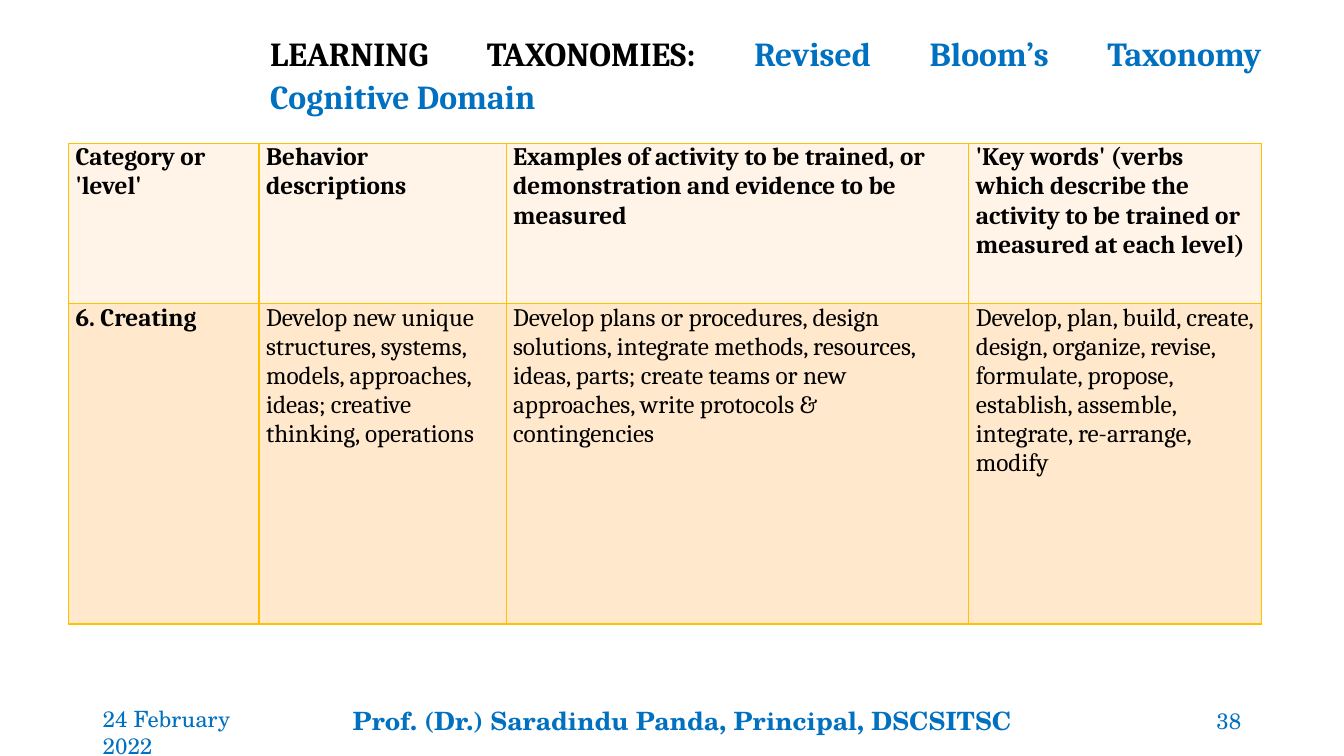
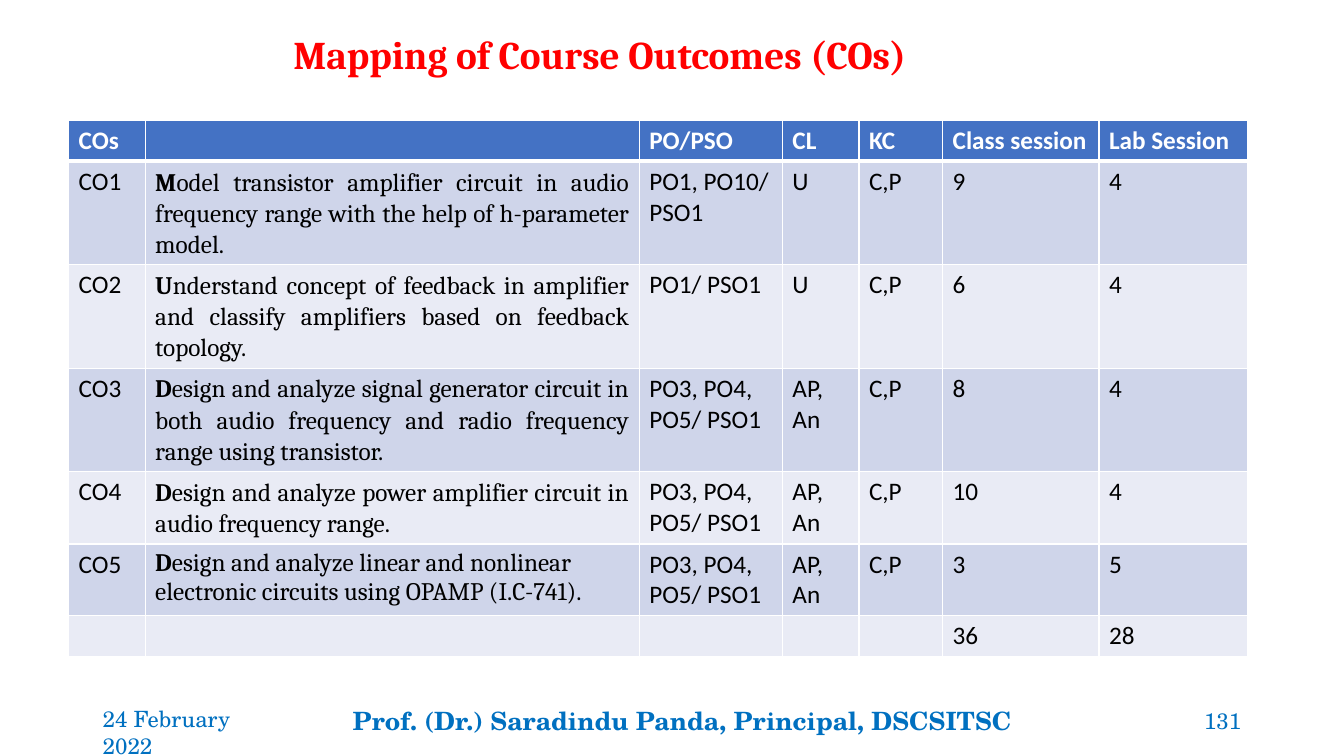
from lxml import etree
from pptx import Presentation
from pptx.dml.color import RGBColor
from pptx.enum.text import MSO_ANCHOR as Anchor, MSO_AUTO_SIZE as AutoSize, PP_ALIGN as Align
from pptx.oxml.ns import qn
from pptx.util import Inches, Pt

BLACK, WHITE, RED, BLUE = "000000", "FFFFFF", "FF0000", "0070C0"
GOLD, CREAM, PEACH = "FFC000", "FFF4E7", "FFE8CC"
HEADER_BLUE, BAND_DARK, BAND_LIGHT = "4472C4", "CFD5EA", "E9EBF5"
SERIF, SANS, FOOTER_FONT = "Cambria", "Calibri", "TeX Gyre Schola"
TABLE_LEFT = 0.68
JUSTIFIED = dict(align=Align.JUSTIFY, line_spacing=1.07, space_after=8)

TAXONOMY_WIDTHS = [1.89, 2.45, 4.59, 2.9]
TAXONOMY_ROWS = [
    ["Category or 'level'", "Behavior descriptions",
     "Examples of activity to be trained, or demonstration and evidence to be measured",
     "'Key words' (verbs which describe the activity to be trained or measured at each level)"],
    ["6. Creating",
     "Develop new unique structures, systems, models, approaches, ideas; creative thinking, operations",
     "Develop plans or procedures, design solutions, integrate methods, resources, ideas, parts; "
     "create teams or new approaches, write protocols & contingencies",
     "Develop, plan, build, create, design, organize, revise, formulate, propose, establish, "
     "assemble, integrate, re-arrange, modify"],
]

OUTCOME_WIDTHS = [0.76, 4.9, 1.42, 0.76, 0.83, 1.55, 1.47]
OUTCOME_HEIGHTS = [0.41, 1.02, 1.02, 1.02, 0.71, 0.71, 0.41]
OUTCOME_ROWS = [
    ["COs", "", "PO/PSO", "CL", "KC", "Class session", "Lab Session"],
    ["CO1", "Model transistor amplifier circuit in audio frequency range with the help of "
     "h-parameter model.", "PO1, PO10/ PSO1", "U", "C,P", "9", "4"],
    ["CO2", "Understand concept of feedback in amplifier and classify amplifiers based on "
     "feedback topology.", "PO1/ PSO1", "U", "C,P", "6", "4"],
    ["CO3", "Design and analyze signal generator circuit in both audio frequency and radio "
     "frequency range using transistor.", "PO3, PO4, PO5/ PSO1", "AP, An", "C,P", "8", "4"],
    ["CO4", "Design and analyze power amplifier circuit in audio frequency range.",
     "PO3, PO4, PO5/ PSO1", "AP, An", "C,P", "10", "4"],
    ["CO5", "Design and analyze linear and nonlinear electronic circuits using OPAMP (I.C-741).",
     "PO3, PO4, PO5/ PSO1", "AP, An", "C,P", "3", "5"],
    ["", "", "", "", "", "36", "28"],
]


def rgb(hex_color):
    return RGBColor.from_string(hex_color)


def write_text(frame, *runs, font=SERIF, size=18, color=BLACK, bold=False,
               align=Align.LEFT, line_spacing=None, space_after=None):
    """Write one paragraph; a run is a string or a (string, overrides) pair."""
    paragraph = frame.paragraphs[0]
    paragraph.alignment = align
    if line_spacing:
        paragraph.line_spacing = line_spacing
    if space_after:
        paragraph.space_after = Pt(space_after)
    for item in runs:
        text, changes = (item, {}) if isinstance(item, str) else item
        for index, line in enumerate(text.split("\n")):
            if index:
                paragraph.add_line_break()
            run = paragraph.add_run()
            run.text = line
            run.font.name = font
            run.font.size = Pt(size)
            run.font.bold = changes.get("bold", bold)
            run.font.color.rgb = rgb(changes.get("color", color))


def place(shape, left, top, width, height):
    shape.left, shape.top = Inches(left), Inches(top)
    shape.width, shape.height = Inches(width), Inches(height)


def add_title(slide, box, *runs, **text_format):
    title = slide.shapes.title
    place(title, *box)
    frame = title.text_frame
    frame.word_wrap = True
    frame.auto_size = AutoSize.NONE
    frame.vertical_anchor = Anchor.BOTTOM
    write_text(frame, *runs, bold=True, **JUSTIFIED, **text_format)


def add_footer(slide, number):
    parts = [
        ("24 February 2022", 0.92, 1.99, Anchor.TOP, dict(size=16)),
        ("Prof. (Dr.) Saradindu Panda, Principal, DSCSITSC", 3.4, 6.81, Anchor.TOP,
         dict(size=18, bold=True)),
        (str(number), 10.96, 1.45, Anchor.MIDDLE, dict(size=16, align=Align.RIGHT)),
    ]
    for text, left, width, anchor, text_format in parts:
        box = slide.shapes.add_textbox(Inches(left), Inches(6.95), Inches(width), Inches(0.4))
        box.text_frame.word_wrap = True
        box.text_frame.vertical_anchor = anchor
        write_text(box.text_frame, text, font=FOOTER_FONT, color=BLUE, **text_format)


def set_borders(cell, color, **widths):
    """Draw 1 pt borders, except where a side (L, R, T, B) is given its own width."""
    properties = cell._tc.get_or_add_tcPr()
    for index, side in enumerate("LRTB"):
        line = etree.Element(qn(f"a:ln{side}"), w=str(Pt(widths.get(side, 1))))
        fill = etree.SubElement(line, qn("a:solidFill"))
        etree.SubElement(fill, qn("a:srgbClr"), val=color)
        properties.insert(index, line)


def add_table(slide, top, widths, heights):
    """Add a table without banding and return it."""
    frame = slide.shapes.add_table(len(heights), len(widths), Inches(TABLE_LEFT), Inches(top),
                                   Inches(sum(widths)), Inches(sum(heights)))
    table = frame.table
    table.first_row = table.horz_banding = False
    for column, width in zip(table.columns, widths):
        column.width = Inches(width)
    for row, height in zip(table.rows, heights):
        row.height = Inches(height)
    return table


def fill_cell(cell, color):
    cell.fill.solid()
    cell.fill.fore_color.rgb = rgb(color)


def add_taxonomy_table(slide):
    table = add_table(slide, 1.42, TAXONOMY_WIDTHS, [1.59, 3.18])
    for row, texts in enumerate(TAXONOMY_ROWS):
        for column, text in enumerate(texts):
            cell = table.cell(row, column)
            cell.margin_left = cell.margin_right = Inches(0.07)
            cell.margin_top = cell.margin_bottom = 0
            fill_cell(cell, PEACH if row else CREAM)
            set_borders(cell, GOLD)
            write_text(cell.text_frame, text, bold=row == 0 or column == 0, space_after=10)


def add_outcomes_table(slide):
    table = add_table(slide, 1.19, OUTCOME_WIDTHS, OUTCOME_HEIGHTS)
    for row, texts in enumerate(OUTCOME_ROWS):
        is_header = row == 0
        band = BAND_DARK if row % 2 else BAND_LIGHT
        for column, text in enumerate(texts):
            cell = table.cell(row, column)
            fill_cell(cell, HEADER_BLUE if is_header else band)
            set_borders(cell, WHITE, **({"B": 3} if is_header else {"T": 3} if row == 1 else {}))
            if not text:
                continue
            if is_header:
                write_text(cell.text_frame, text, font=SANS, color=WHITE, bold=True)
            elif column == 1:
                layout = {} if texts[0] == "CO5" else JUSTIFIED
                write_text(cell.text_frame, (text[0], dict(bold=True)), text[1:], **layout)
            else:
                write_text(cell.text_frame, text, font=SANS)


def main():
    presentation = Presentation()
    presentation.slide_width, presentation.slide_height = Inches(13.33), Inches(7.5)
    title_only = presentation.slide_layouts[5]

    taxonomy = presentation.slides.add_slide(title_only)
    add_title(taxonomy, (2.58, 0.33, 10.03, 0.87), "LEARNING TAXONOMIES: ",
              ("Revised Bloom’s Taxonomy\nCognitive Domain", dict(color=BLUE)), size=24)
    add_taxonomy_table(taxonomy)
    add_footer(taxonomy, 38)

    outcomes = presentation.slides.add_slide(title_only)
    add_title(outcomes, (2.81, 0.34, 9.66, 0.48), "Mapping of Course Outcomes (COs)",
              size=28, color=RED)
    add_outcomes_table(outcomes)
    add_footer(outcomes, 131)

    presentation.save("out.pptx")


if __name__ == "__main__":
    main()
